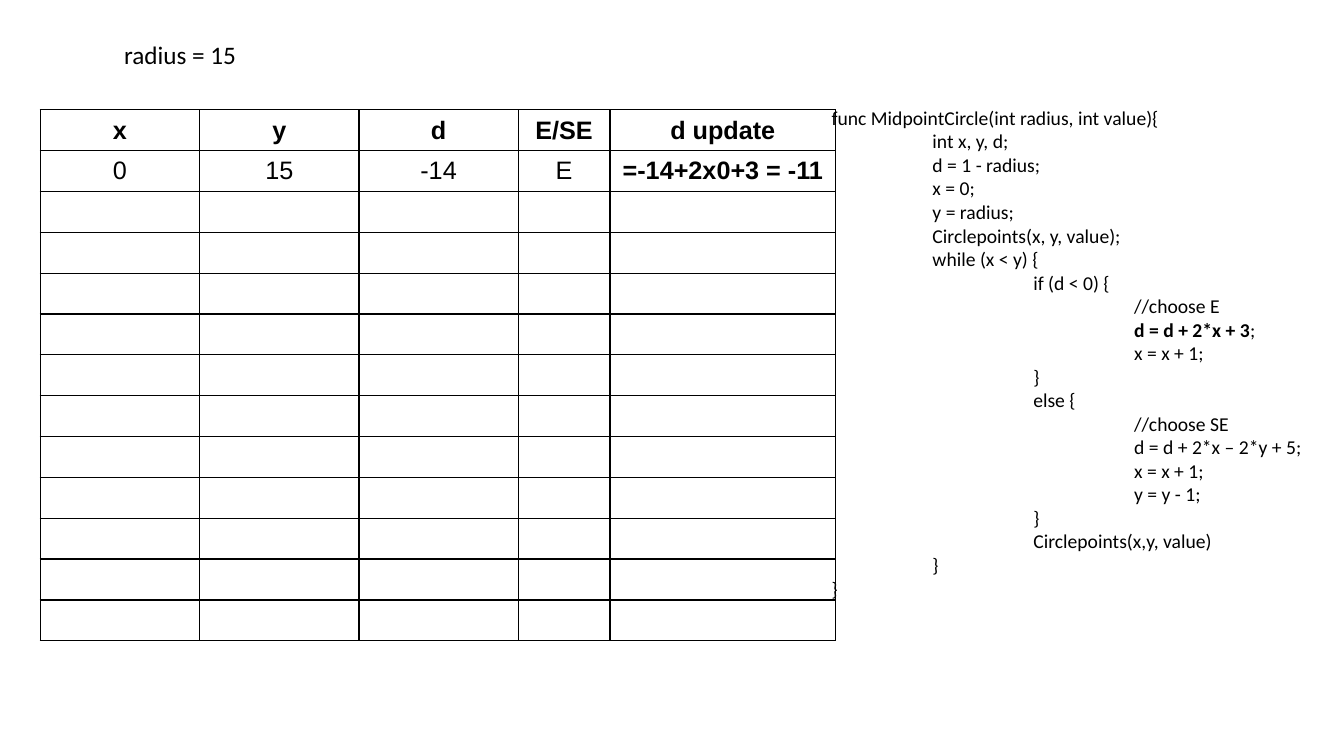
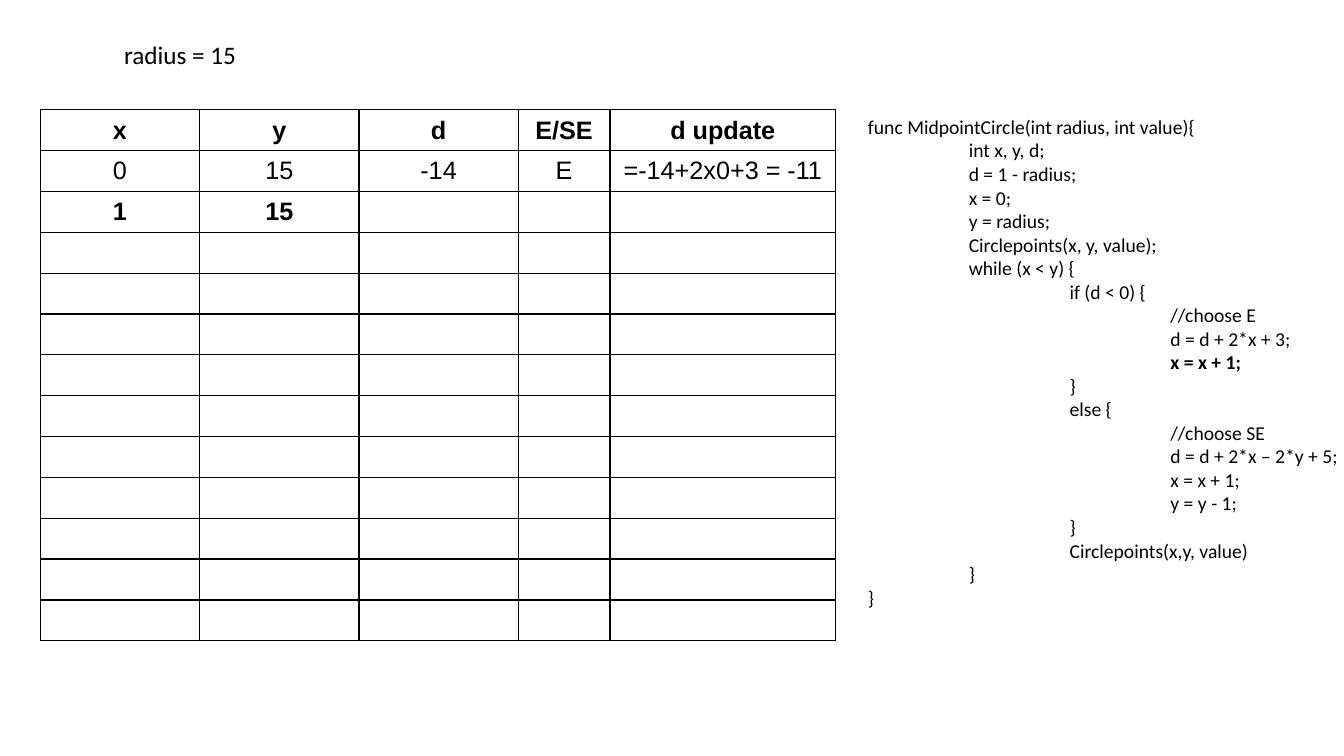
from dataclasses import dataclass

from pptx import Presentation
from pptx.dml.color import RGBColor
from pptx.enum.text import MSO_ANCHOR, MSO_AUTO_SIZE, PP_ALIGN
from pptx.oxml import parse_xml
from pptx.oxml.ns import nsdecls
from pptx.slide import Slide
from pptx.table import _Cell
from pptx.text.text import Font
from pptx.util import Emu, Pt

EMU_PER_PX = 9144
COLORS = {"text": "000000", "border": "000000"}
CODE_FONT = "Calibri"
TABLE_FONT = "Arial"

TITLE = "radius = 15"
TABLE_LEFT, TABLE_TOP, TABLE_HEIGHT = 40, 109, 527
COLUMN_WIDTHS = [158, 158, 158, 91, 224]
ROW_COUNT = 13
CODE_WIDTH, CODE_HEIGHT = 512, 528
INDENT = 100
HEADER = ["x", "y", "d", "E/SE", "d update"]
FIRST_STEP = ["0", "15", "-14", "E", "=-14+2x0+3 = -11"]

CODE = """\
func MidpointCircle(int radius, int value){
\tint x, y, d;
\td = 1 - radius;
\tx = 0;
\ty = radius;
\tCirclepoints(x, y, value);
\twhile (x < y) {
\t\tif (d < 0) {
\t\t\t//choose E
\t\t\td = d + 2*x + 3;
\t\t\tx = x + 1;
\t\t}
\t\telse {
\t\t\t//choose SE
\t\t\td = d + 2*x – 2*y + 5;
\t\t\tx = x + 1;
\t\t\ty = y - 1;
\t\t}
\t\tCirclepoints(x,y, value)
\t}
}"""


@dataclass(frozen=True)
class Step:
    """One stage of the trace: its table rows, bold cells and bold code."""

    code_left: int
    code_top: int
    rows: list[list[str]]
    bold_cells: set[tuple[int, int]]
    bold_line: int
    bold_code: str


STEPS = [
    Step(815, 100, [HEADER, FIRST_STEP], {(1, 4)}, 9, "d = d + 2*x + 3"),
    Step(851, 109, [HEADER, FIRST_STEP, ["1", "15"]], {(2, 0), (2, 1)}, 10, "x = x + 1;"),
]


def px(length: int) -> Emu:
    return Emu(length * EMU_PER_PX)


def style_font(font: Font, name: str, size: int, bold: bool = False) -> None:
    font.name = name
    font.size = Pt(size)
    font.bold = bold
    font.color.rgb = RGBColor.from_string(COLORS["text"])


def add_title(slide: Slide) -> None:
    title = slide.shapes.title
    title.left, title.top, title.width, title.height = map(px, (113, 34, 133, 40))
    frame = title.text_frame
    frame.text = TITLE
    frame.word_wrap = False
    frame.auto_size = MSO_AUTO_SIZE.SHAPE_TO_FIT_TEXT
    frame.vertical_anchor = MSO_ANCHOR.TOP
    paragraph = frame.paragraphs[0]
    paragraph.alignment = PP_ALIGN.LEFT
    style_font(paragraph.font, CODE_FONT, 18)


def add_code(slide: Slide, step: Step) -> None:
    box = slide.shapes.add_textbox(
        px(step.code_left), px(step.code_top), px(CODE_WIDTH), px(CODE_HEIGHT)
    )
    frame = box.text_frame
    frame.word_wrap = True
    frame.auto_size = MSO_AUTO_SIZE.SHAPE_TO_FIT_TEXT
    for index, line in enumerate(CODE.splitlines()):
        paragraph = frame.add_paragraph() if index else frame.paragraphs[0]
        code = line.lstrip("\t")
        indent = px(INDENT * (len(line) - len(code)))
        paragraph._p.get_or_add_pPr().set("marL", str(indent))
        style_font(paragraph.font, CODE_FONT, 14)
        if index != step.bold_line:
            paragraph.add_run().text = code
            continue
        before, bold, after = code.partition(step.bold_code)
        for text in filter(None, (before, bold, after)):
            run = paragraph.add_run()
            run.text = text
            run.font.bold = text == bold


def add_borders(cell: _Cell) -> None:
    properties = cell._tc.get_or_add_tcPr()
    for side in ("lnL", "lnR", "lnT", "lnB"):
        properties.append(parse_xml(
            f'<a:{side} {nsdecls("a")} w="{Pt(1)}"><a:solidFill>'
            f'<a:srgbClr val="{COLORS["border"]}"/></a:solidFill></a:{side}>'
        ))


def add_trace_table(slide: Slide, step: Step) -> None:
    table = slide.shapes.add_table(
        ROW_COUNT, len(COLUMN_WIDTHS), px(TABLE_LEFT), px(TABLE_TOP),
        px(sum(COLUMN_WIDTHS)), px(TABLE_HEIGHT),
    ).table
    table.first_row = False
    table.horz_banding = False
    for column, width in zip(table.columns, COLUMN_WIDTHS):
        column.width = px(width)
    for row_index, row in enumerate(table.rows):
        row.height = Emu(px(TABLE_HEIGHT) // ROW_COUNT)
        values = step.rows[row_index] if row_index < len(step.rows) else []
        for column_index, cell in enumerate(row.cells):
            add_borders(cell)
            cell.fill.background()
            cell.vertical_anchor = MSO_ANCHOR.MIDDLE
            if column_index < len(values):
                cell.text = values[column_index]
            paragraph = cell.text_frame.paragraphs[0]
            paragraph.alignment = PP_ALIGN.CENTER
            bold = row_index == 0 or (row_index, column_index) in step.bold_cells
            style_font(paragraph.font, TABLE_FONT, 18, bold)


def main() -> None:
    presentation = Presentation()
    presentation.slide_width = px(1333)
    presentation.slide_height = px(750)
    title_only = presentation.slide_layouts.get_by_name("Title Only")
    for step in STEPS:
        slide = presentation.slides.add_slide(title_only)
        add_title(slide)
        add_code(slide, step)
        add_trace_table(slide, step)
    presentation.save("out.pptx")


if __name__ == "__main__":
    main()
